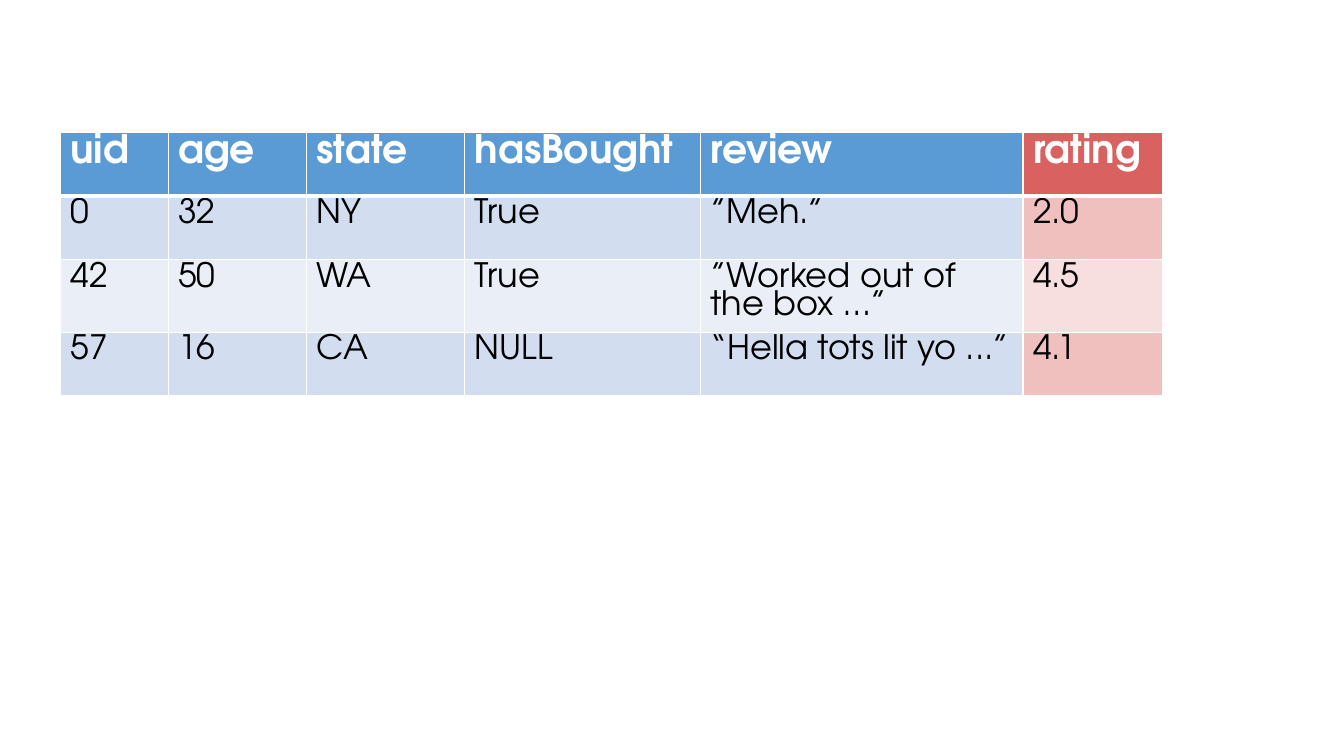
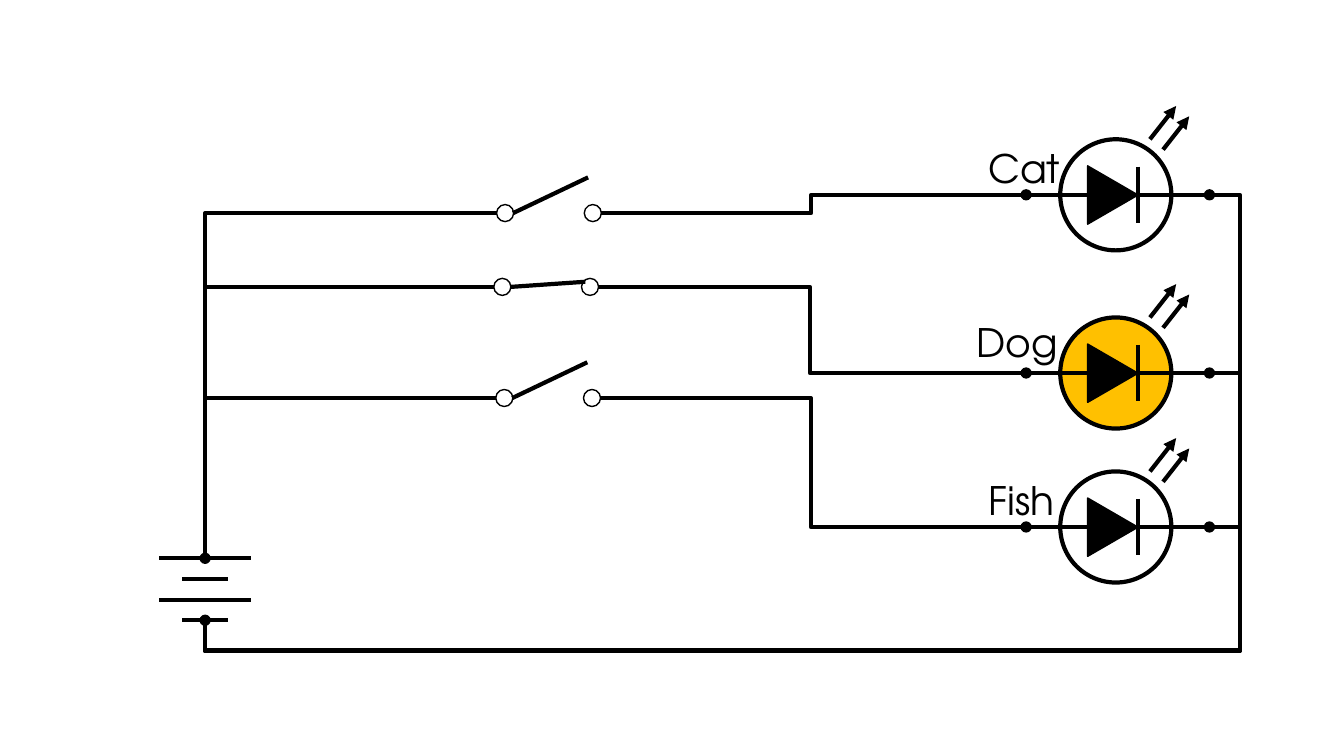
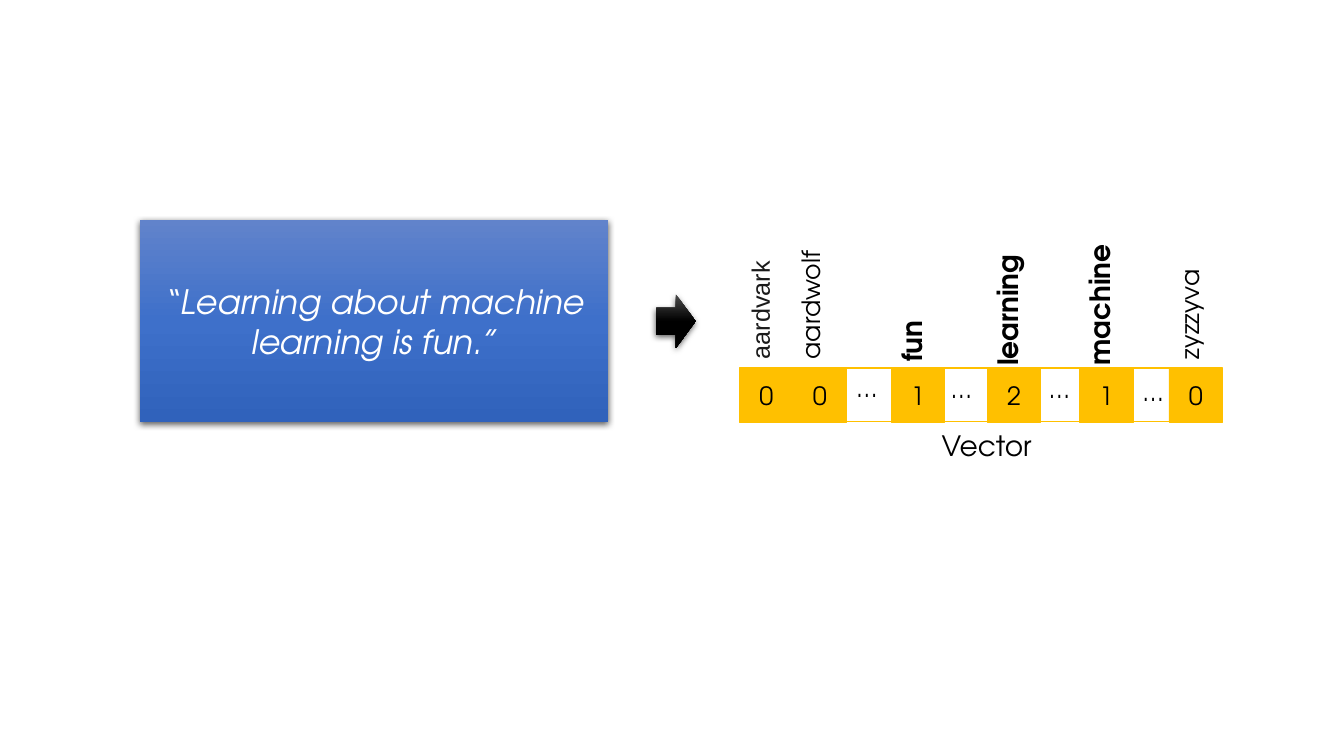
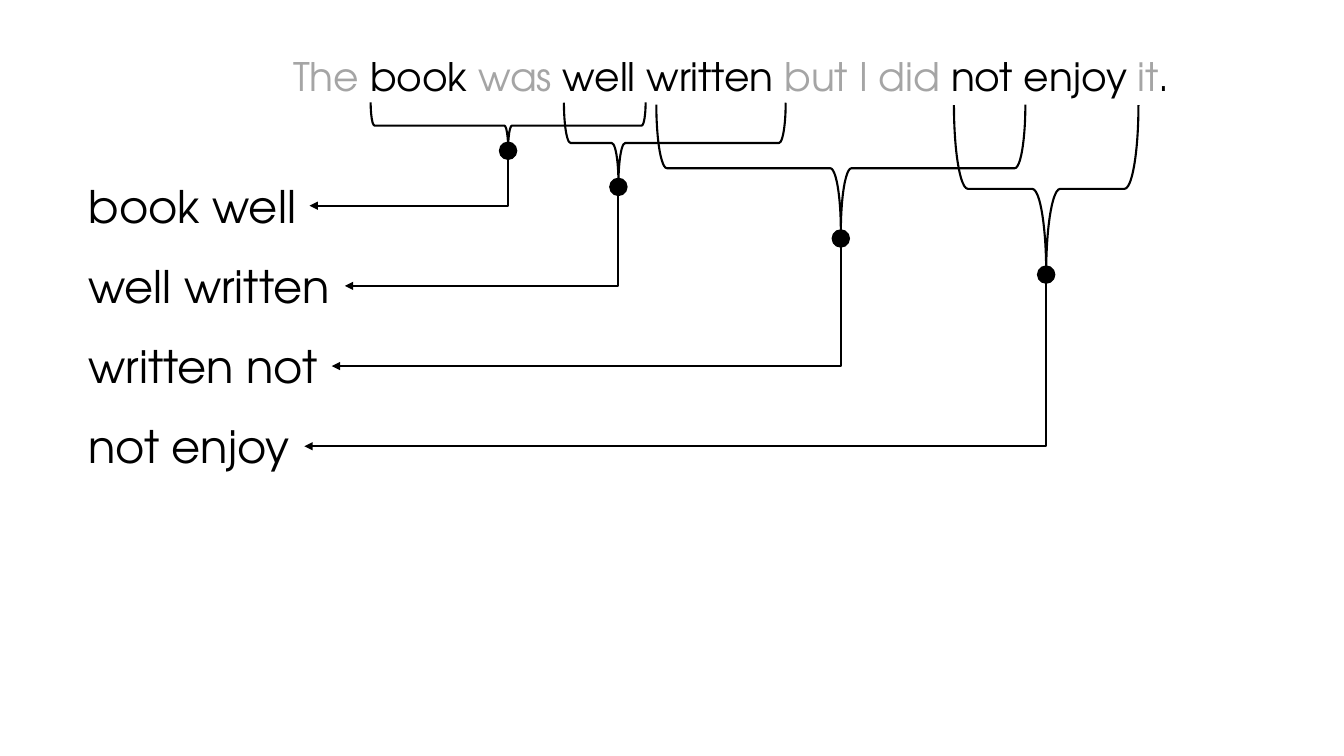
from copy import deepcopy

from lxml import etree
from pptx import Presentation
from pptx import util as u
from pptx.dml.color import RGBColor
from pptx.enum import shapes, text
from pptx.oxml.ns import qn

FONT = "TeX Gyre Adventor"
BLACK, WHITE, AMBER, GREY = "000000", "FFFFFF", "FFC000", "A5A5A5"
KIND = shapes.MSO_SHAPE
SIDES = ("top", "left", "bottom", "right")
WIRE = 3


def rgb(value):
    return RGBColor.from_string(value)


def write(frame, runs, size, color=BLACK, font=FONT, bold=False, italic=False, align=None):
    """Fill the first paragraph; a run is a string or a (string, colour) pair, None breaks the line."""
    paragraph = frame.paragraphs[0]
    paragraph.alignment = align
    for item in runs:
        if item is None:
            paragraph.add_line_break()
            continue
        words, shade = item if isinstance(item, tuple) else (item, color)
        run = paragraph.add_run()
        run.text = words
        run.font.name, run.font.size = font, u.Pt(size)
        run.font.bold, run.font.italic = bold, italic
        run.font.color.rgb = rgb(shade)
    return paragraph


def label(slide, left, top, width, height, runs, size, turn=0, **style):
    box = slide.shapes.add_textbox(u.Cm(left), u.Cm(top), u.Cm(width), u.Cm(height))
    box.rotation = turn
    box.text_frame.word_wrap = False
    box.text_frame.auto_size = text.MSO_AUTO_SIZE.SHAPE_TO_FIT_TEXT
    write(box.text_frame, runs, size, **style)
    return box


def figure(slide, kind, left, top, width, height, fill=None, line=None, weight=1, turn=0):
    item = slide.shapes.add_shape(kind, u.Cm(left), u.Cm(top), u.Cm(width), u.Cm(height))
    item.shadow.inherit = False
    item.rotation = turn
    if fill:
        item.fill.solid()
        item.fill.fore_color.rgb = rgb(fill)
    else:
        item.fill.background()
    if line:
        item.line.color.rgb = rgb(line)
        item.line.width = u.Pt(weight)
    else:
        item.line.fill.background()
    return item


def circle(slide, x, y, size, fill=BLACK, weight=1):
    return figure(slide, KIND.OVAL, x - size / 2, y - size / 2, size, size, fill, BLACK, weight)


def shaded(item, colors):
    """Give a shape a three-stop vertical gradient and a soft shadow below."""
    item.fill.gradient()
    item.fill.gradient_angle = 270
    properties = item._element.spPr
    stops = properties.find(".//" + qn("a:gsLst"))
    stops.append(deepcopy(stops[0]))
    for stop, position, color in zip(item.fill.gradient_stops, (0, 0.5, 1), colors):
        stop.position = position
        stop.color.rgb = rgb(color)
    effects = properties.find(qn("a:effectLst"))
    shadow = etree.SubElement(effects, qn("a:outerShdw"), blurRad=str(u.Pt(4.5)),
                              dist=str(u.Pt(1.5)), dir="5400000", rotWithShape="0")
    tone = etree.SubElement(shadow, qn("a:srgbClr"), val=BLACK)
    etree.SubElement(tone, qn("a:alpha"), val="63000")


def connector(slide, kind, start, end, weight, arrow=False):
    """Draw a connector between two points given in EMU."""
    link = slide.shapes.add_connector(kind, *(round(v) for v in (*start, *end)))
    link.line.color.rgb = rgb(BLACK)
    link.line.width = u.Pt(weight)
    if arrow:
        etree.SubElement(link.line._get_or_add_ln(), qn("a:tailEnd"), type="triangle")
    etree.SubElement(link._element.spPr, qn("a:effectLst"))
    return link


def straight(slide, x1, y1, x2, y2, arrow=False):
    return connector(slide, shapes.MSO_CONNECTOR.STRAIGHT, (u.Cm(x1), u.Cm(y1)),
                     (u.Cm(x2), u.Cm(y2)), WIRE, arrow)


def side_point(item, side):
    middle_x, middle_y = item.left + item.width / 2, item.top + item.height / 2
    return {"top": (middle_x, item.top), "left": (item.left, middle_y),
            "bottom": (middle_x, item.top + item.height),
            "right": (item.left + item.width, middle_y)}[side]


def elbow(slide, source, source_side, target, target_side, bends, weight=WIRE,
          arrow=False, overrun=0):
    """Join two shapes by a bent connector; one that leaves vertically is turned by 90 degrees.

    overrun is how far a three-bend connector runs past both of its ends.
    """
    (x1, y1), (x2, y2) = side_point(source, source_side), side_point(target, target_side)
    run, drop = x2 - x1, y2 - y1
    start, end = (x1, y1), (x2, y2)
    vertical = source_side in ("top", "bottom")
    if vertical:
        middle_x, middle_y = (x1 + x2) / 2, (y1 + y2) / 2
        start = (middle_x - drop / 2, middle_y + run / 2)
        end = (middle_x + drop / 2, middle_y - run / 2)
    link = connector(slide, shapes.MSO_CONNECTOR.ELBOW, start, end, weight, arrow)
    properties = link._element.spPr
    if vertical:
        properties.find(qn("a:xfrm")).set("rot", "5400000")
    geometry = properties.find(qn("a:prstGeom"))
    geometry.set("prst", f"bentConnector{bends + 1}")
    if overrun:
        ratios = (-u.Cm(overrun) / abs(drop), 1 + u.Cm(overrun) / abs(run))
        for number, ratio in enumerate(ratios, 1):
            etree.SubElement(geometry.find(qn("a:avLst")), qn("a:gd"), name=f"adj{number}",
                             fmla=f"val {round(ratio * 100000)}")
    joints = link._element.find(".//" + qn("p:cNvCxnSpPr"))
    for tag, item, side in (("a:stCxn", source, source_side), ("a:endCxn", target, target_side)):
        # An ellipse has eight connection sites, a text box four.
        step = 1 if item.shape_type == shapes.MSO_SHAPE_TYPE.TEXT_BOX else 2
        etree.SubElement(joints, qn(tag), id=str(item.shape_id),
                         idx=str(SIDES.index(side) * step))


def cell_borders(cell, top, bottom):
    properties = cell._tc.get_or_add_tcPr()
    for place, (edge, weight) in enumerate((("L", 1), ("R", 1), ("T", top), ("B", bottom))):
        border = etree.Element(qn(f"a:ln{edge}"), w=str(u.Pt(weight)))
        fill = etree.SubElement(border, qn("a:solidFill"))
        etree.SubElement(fill, qn("a:srgbClr"), val=WHITE)
        properties.insert(place, border)


def ratings_table(slide):
    rows = (("uid", "age", "state", "hasBought", "review", "rating"),
            ("0", "32", "NY", "True", "”Meh.”", "2.0"),
            ("42", "50", "WA", "True", "”Worked out of the box …”", "4.5"),
            ("57", "16", "CA", "NULL", "“Hella tots lit yo ...”", "4.1"))
    widths = (2.72, 3.48, 3.99, 5.94, 8.13, 3.53)
    heights = (1.6, 1.6, 1.83, 1.6)
    header, bands = ("5B9BD5", "D9615F"), (("EAEFF7", "F7DFDF"), ("D2DEEF", "F0C0BF"))
    table = slide.shapes.add_table(len(rows), len(widths), u.Cm(1.52), u.Cm(3.34),
                                   u.Cm(sum(widths)), u.Cm(sum(heights))).table
    for column, width in zip(table.columns, widths):
        column.width = u.Cm(width)
    for r, (row, height) in enumerate(zip(rows, heights)):
        table.rows[r].height = u.Cm(height)
        feature, target = bands[r % 2] if r else header
        for c, value in enumerate(row):
            cell = table.cell(r, c)
            cell.fill.solid()
            cell.fill.fore_color.rgb = rgb(target if c == len(row) - 1 else feature)
            cell_borders(cell, 3 if r == 1 else 1, 1 if r else 3)
            paragraph = write(cell.text_frame, [value], 24 if r else 28,
                              BLACK if r else WHITE, bold=r == 0)
            paragraph.line_spacing = 0.9


def battery(slide):
    """Draw the plates and return the upper and the lower pole."""
    x, top, gap = 5.17, 14.07, 0.52
    for i in range(4):
        half = 0.58 if i % 2 else 1.15
        straight(slide, x - half, top + i * gap, x + half, top + i * gap)
    return [circle(slide, x, y, 0.25) for y in (top, top + 3 * gap)]


def switch(slide, x, y, rise):
    """Draw a switch and return its two contacts."""
    contacts = [circle(slide, cx, y, 0.43, WHITE) for cx in (x, x + 2.21)]
    straight(slide, x + 0.2, y, x + 2.09, y - rise)
    return contacts


def lamp(slide, y, name, left, top, width, lit):
    """Draw a light-emitting diode and return its two terminals."""
    x = 28.12
    circle(slide, x, y, 2.8, AMBER if lit else None, WIRE)
    straight(slide, x + 0.56, y - 0.71, x + 0.56, y + 0.71)
    straight(slide, 25.76, y, 30.45, y)
    figure(slide, KIND.ISOSCELES_TRIANGLE, x - 0.81, y - 0.63, 1.47, 1.27, BLACK, BLACK, turn=90)
    for shift_x, shift_y in ((0, 0), (0.33, 0.26)):
        straight(slide, x + 0.86 + shift_x, y - 1.4 + shift_y,
                 x + 1.52 + shift_x, y - 2.24 + shift_y, arrow=True)
    label(slide, left, top, width, 1.45, [name], 28)
    return [circle(slide, cx, y, 0.25) for cx in (25.86, 30.48)]


def circuit(slide):
    upper, lower = battery(slide)
    branches = (((12.73, 5.37, 0.9), (4.91, "Cat", 24.66, 3.51, 2.34, False)),
                ((12.66, 7.23, 0.13), (9.4, "Dog", 24.36, 7.9, 2.59, True)),
                ((12.71, 10.03, 0.9), (13.28, "Fish", 24.66, 11.89, 2.18, False)))
    for switch_place, lamp_place in branches:
        inlet, outlet = switch(slide, *switch_place)
        anode, cathode = lamp(slide, *lamp_place)
        elbow(slide, upper, "top", inlet, "left", 1)
        elbow(slide, outlet, "right", anode, "left", 2)
        elbow(slide, lower, "bottom", cathode, "right", 3, overrun=0.64)


def word_vector(slide):
    cell, top = 1.35, 9.29
    figure(slide, KIND.RECTANGLE, 18.64, 9.27, 12.17, cell, WHITE, AMBER)
    quote = figure(slide, KIND.RECTANGLE, 3.53, 5.55, 11.79, 5.08)
    shaded(quote, ("6183CB", "3E70CA", "3062BB"))
    quote.text_frame.vertical_anchor = text.MSO_ANCHOR.MIDDLE
    write(quote.text_frame, ["“Learning about machine", None, "learning is fun.”"], 24, WHITE,
          italic=True, align=text.PP_ALIGN.CENTER)
    shaded(figure(slide, KIND.RIGHT_ARROW, 16.54, 7.42, 0.99, 1.35), ("4B4B4B", BLACK, BLACK))

    # Cell left, count, word, and the word's centre, bottom and length.
    entries = ((18.64, 0, "aardvark", 19.25, 9.3, 3.56),
               (19.99, 0, "aardwolf", 20.52, 9.3, 3.33),
               (22.46, 1, "fun", 23.07, 9.37, 1.78),
               (24.88, 2, "learning", 25.49, 9.47, 3.45),
               (27.21, 1, "machine", 27.82, 9.46, 3.58),
               (29.46, 0, "zyzzyva", 30.09, 9.3, 2.87))
    for left, count, word, centre, bottom, length in entries:
        box = figure(slide, KIND.RECTANGLE, left, top, cell, cell, AMBER, AMBER, 0.5)
        box.text_frame.vertical_anchor = text.MSO_ANCHOR.MIDDLE
        write(box.text_frame, [str(count)], 18, align=text.PP_ALIGN.CENTER)
        height = 1.32 if count else 1.22
        plain = word == "aardvark"
        label(slide, centre - length / 2, bottom - (length + height) / 2, length, height, [word],
              20 if count else 18, turn=270, bold=count > 0,
              font="Arial" if plain else FONT, color="1A1A1A" if plain else BLACK)
    for left, y in ((21.34, 9.25), (23.72, 9.27), (26.19, 9.27), (28.55, 9.37)):
        label(slide, left, y, 1.12, 1.22, ["…"], 18)
    label(slide, 23.48, 10.67, 2.82, 1.32, ["Vector"], 20)


def bigrams(slide):
    sentence = [("The", GREY), " book ", ("was", GREY), " well written ", ("but I did ", GREY),
                "not enjoy ", ("it", GREY), "."]
    label(slide, 7.14, 1.19, 22.96, 1.45, sentence, 28)
    # Pair, label width, then the brace's left, top, span, depth and tip, and the dot's height.
    pairs = (("book well", 5.82, 9.34, 2.58, 6.93, 1.17, 0.5, 3.8),
             ("well written", 6.71, 14.21, 2.59, 5.59, 2.03, 0.754, 4.71),
             ("written not", 6.38, 16.54, 2.64, 9.3, 3.2, 0.5, 6.01),
             ("not enjoy", 5.69, 24.04, 2.65, 4.65, 4.22, 0.5, 6.92))
    for i, (pair, width, left, top, span, depth, tip, dot_y) in enumerate(pairs):
        name = label(slide, 1.98, 4.37 + 2.02 * i, width, 1.63, [pair], 32)
        brace = figure(slide, KIND.RIGHT_BRACE, left + (span - depth) / 2,
                       top + (depth - span) / 2, depth, span, line=BLACK, weight=1.5, turn=90)
        brace.adjustments[1] = tip
        dot = circle(slide, left + span * (1 - tip), dot_y, 0.43)
        elbow(slide, dot, "bottom", name, "right", 1, 1.5, arrow=True)


def main():
    deck = Presentation()
    deck.slide_width, deck.slide_height = u.Cm(33.87), u.Cm(19.05)
    for build in (ratings_table, circuit, word_vector, bigrams):
        build(deck.slides.add_slide(deck.slide_layouts[6]))
    deck.save("out.pptx")


if __name__ == "__main__":
    main()
